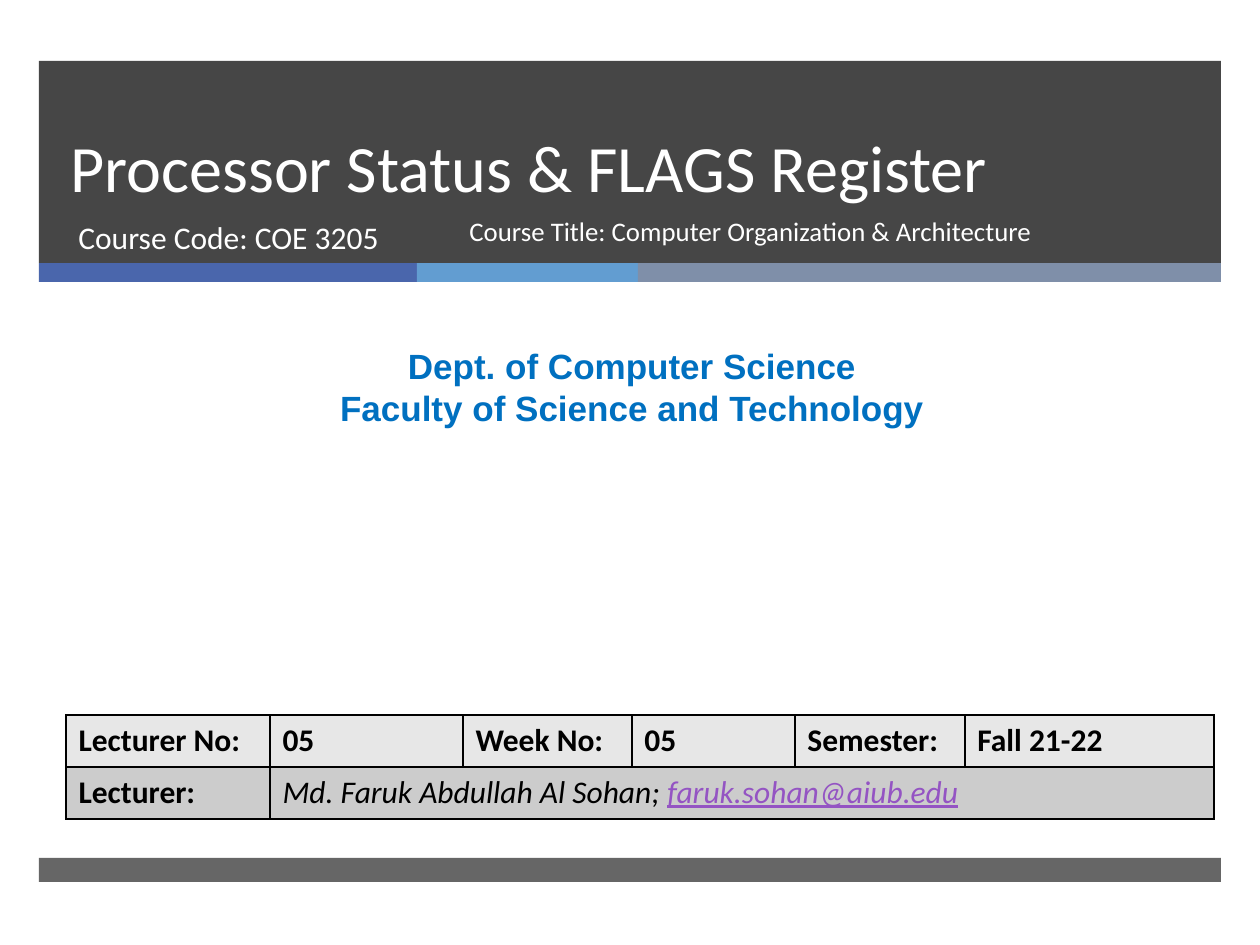
"""Build the title slide of a lecture on processor status and the FLAGS register."""
from lxml import etree
from pptx import Presentation, util as u
from pptx.dml.color import RGBColor
from pptx.enum import shapes, text
from pptx.oxml.ns import qn

BLACK = RGBColor(0x00, 0x00, 0x00)
WHITE = RGBColor(0xFF, 0xFF, 0xFF)
CHARCOAL = RGBColor(0x26, 0x26, 0x26)
NAVY = RGBColor(0x4A, 0x66, 0xAC)
SKY = RGBColor(0x62, 0x9D, 0xD1)
SLATE = RGBColor(0x7F, 0x8F, 0xA9)
AZURE = RGBColor(0x00, 0x70, 0xC0)
PURPLE = RGBColor(0x94, 0x54, 0xC3)
LIGHT = RGBColor(0xE7, 0xE7, 0xE7)
GREY = RGBColor(0xCC, 0xCC, 0xCC)

TITLE = "Processor Status & FLAGS Register"
COURSE_CODE = "Course Code: COE 3205"
COURSE_TITLE = "Course Title: Computer Organization & Architecture"
DEPARTMENT = ["Dept. of Computer Science", "Faculty of Science and Technology"]
SESSION = ["Lecturer No:", "05", "Week No:", "05", "Semester:", "Fall 21-22"]
LECTURER_LABEL = "Lecturer:"
LECTURER, EMAIL = "Md. Faruk Abdullah Al Sohan; ", "faruk.sohan@aiub.edu"

MARGIN, BAND_WIDTH = 39, 1182
STRIPES = [(378, NAVY), (221, SKY), (583, SLATE)]
COLUMNS = [204, 193, 169, 163, 170, 249]
ROW_HEIGHT = 52


def px(n):
    return round(n * 914400 / 126)


def write(paragraph, words, size=18, font="Calibri", color=BLACK, bold=False,
          italic=False, underline=False):
    run = paragraph.add_run()
    run.text = words
    face = run.font
    face.size, face.name, face.color.rgb = u.Pt(size), font, color
    face.bold, face.italic, face.underline = bold, italic, underline


def add_text(slide, box, lines, align=text.PP_ALIGN.LEFT, anchor=text.MSO_ANCHOR.TOP,
             spacing=None, **style):
    frame = slide.shapes.add_textbox(*map(px, box)).text_frame
    frame.word_wrap, frame.vertical_anchor = True, anchor
    for i, line in enumerate(lines):
        paragraph = frame.add_paragraph() if i else frame.paragraphs[0]
        paragraph.alignment, paragraph.line_spacing = align, spacing
        write(paragraph, line, **style)


def add_band(slide, box, color, opacity=100):
    band = slide.shapes.add_shape(shapes.MSO_SHAPE.RECTANGLE, *map(px, box))
    band.shadow.inherit = False
    band.line.fill.background()
    band.fill.solid()
    band.fill.fore_color.rgb = color
    if opacity < 100:
        tint = band.fill._xPr.find(".//" + qn("a:srgbClr"))
        etree.SubElement(tint, qn("a:alpha"), val=str(opacity * 1000))


def format_cell(cell, color):
    properties = cell._tc.get_or_add_tcPr()
    for side in "LRTB":
        border = etree.SubElement(properties, qn(f"a:ln{side}"), w=str(u.Pt(1)))
        fill = etree.SubElement(border, qn("a:solidFill"))
        etree.SubElement(fill, qn("a:srgbClr"), val=str(BLACK))
    cell.fill.solid()
    cell.fill.fore_color.rgb = color


def add_details(slide):
    details = slide.shapes.add_table(
        2, len(COLUMNS), px(66), px(715), px(sum(COLUMNS)), px(2 * ROW_HEIGHT)).table
    for column, width in zip(details.columns, COLUMNS):
        column.width = px(width)
    for row, color in zip(details.rows, (LIGHT, GREY)):
        row.height = px(ROW_HEIGHT)
        for cell in row.cells:
            format_cell(cell, color)
    for i, words in enumerate(SESSION):
        write(details.cell(0, i).text_frame.paragraphs[0], words, bold=True)
    write(details.cell(1, 0).text_frame.paragraphs[0], LECTURER_LABEL, bold=True)
    details.cell(1, 1).merge(details.cell(1, len(COLUMNS) - 1))
    contact = details.cell(1, 1).text_frame.paragraphs[0]
    write(contact, LECTURER, italic=True)
    write(contact, EMAIL, color=PURPLE, italic=True, underline=True)


def main():
    deck = Presentation()
    deck.slide_width, deck.slide_height = px(1260), px(945)
    slide = deck.slides.add_slide(deck.slide_layouts[6])

    add_band(slide, (MARGIN, 61, BAND_WIDTH, 202), CHARCOAL, opacity=85)
    left = MARGIN
    for width, color in STRIPES:
        add_band(slide, (left, 263, width, 19), color)
        left += width
    add_band(slide, (MARGIN, 858, BAND_WIDTH, 24), CHARCOAL, opacity=70)

    add_text(slide, (58, 62, 1076, 150), [TITLE], anchor=text.MSO_ANCHOR.BOTTOM,
             spacing=u.Pt(46), size=37.8, color=WHITE)
    add_text(slide, (66, 212, 384, 67), [COURSE_CODE], color=WHITE)
    add_text(slide, (457, 212, 591, 67), [COURSE_TITLE], spacing=0.9, size=15.3, color=WHITE)
    add_text(slide, (10, 338, 1244, 97), DEPARTMENT, align=text.PP_ALIGN.CENTER,
             size=20, font="Arial", color=AZURE, bold=True)
    add_details(slide)
    deck.save("out.pptx")


if __name__ == "__main__":
    main()
